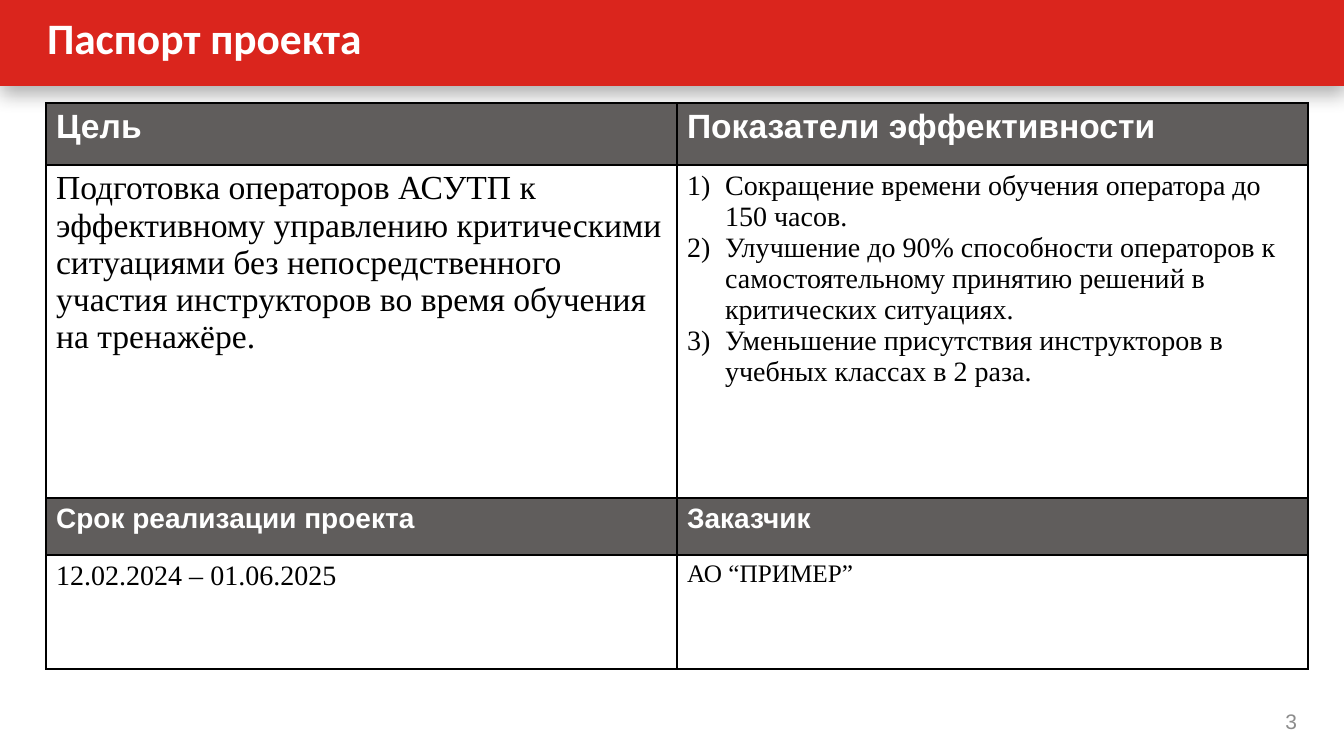
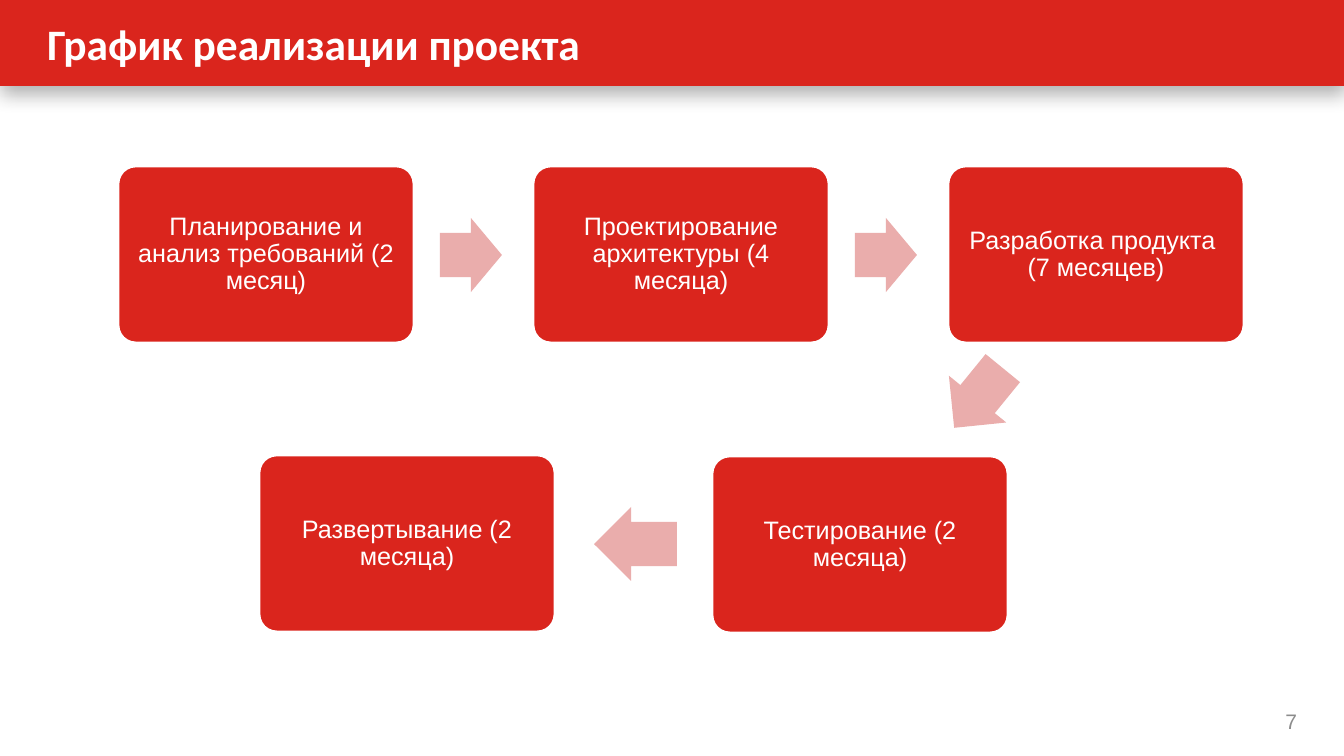
from lxml.etree import SubElement
from pptx import Presentation
from pptx.dml.color import RGBColor
from pptx.enum.shapes import MSO_SHAPE as Preset
from pptx.enum.text import MSO_ANCHOR as Anchor, MSO_AUTO_SIZE as AutoSize, PP_ALIGN as Align
from pptx.oxml.ns import qn
from pptx.util import Emu, Pt

WIDTH, HEIGHT = 1344, 756


def px(length):
    return Emu(round(length * 914400 / 100.8))


def rgb(code):
    return RGBColor.from_string(code)


def add_xml(parent, tag, **attributes):
    return SubElement(parent, qn(tag), {key: str(value) for key, value in attributes.items()})


class Deck:
    RED, PINK, GREY = "DA251D", "EAADAC", "605D5C"
    WHITE, BLACK, PAGE_GREY = "FFFFFF", "000000", "8C8C8C"
    SANS, SERIF, TITLE = "Arial", "Times New Roman", "Calibri"

    def __init__(self):
        self.prs = Presentation()
        self.prs.slide_width, self.prs.slide_height = px(WIDTH), px(HEIGHT)
        self.slide = None

    def style(self, paragraph, size, color, face=SANS, bold=False, align=Align.LEFT):
        paragraph.alignment = align
        font = paragraph.font
        font.size, font.name, font.bold = Pt(size), face, bold
        font.color.rgb = rgb(color)

    def frame(self, shape, text, side, top):
        frame = shape.text_frame
        frame.word_wrap, frame.auto_size = True, AutoSize.NONE
        frame.vertical_anchor = Anchor.MIDDLE
        frame.margin_left = frame.margin_right = px(side)
        frame.margin_top = frame.margin_bottom = px(top)
        frame.text = text
        return frame.paragraphs[0]

    def shape(self, preset, x, y, width, height, fill):
        shape = self.slide.shapes.add_shape(preset, px(x), px(y), px(width), px(height))
        shape.shadow.inherit = False
        shape.fill.solid()
        shape.fill.fore_color.rgb = rgb(fill)
        shape.line.fill.background()
        return shape

    def band(self):
        band = self.shape(Preset.RECTANGLE, 0, 0, WIDTH, 86, self.RED)
        effects = band.element.spPr.find(qn("a:effectLst"))
        shadow = add_xml(effects, "a:outerShdw", blurRad=Pt(14), dist=Pt(5), dir=5400000, rotWithShape=0)
        add_xml(add_xml(shadow, "a:srgbClr", val=self.BLACK), "a:alpha", val=31000)
        self.slide.shapes.element.insert(2, band.element)

    def new_slide(self, heading, number, title_height):
        self.slide = self.prs.slides.add_slide(self.prs.slide_layouts.get_by_name("Title Only"))
        self.band()
        title = self.slide.shapes.title
        title.left, title.top, title.width, title.height = px(34), px(0), px(1220), px(title_height)
        self.style(self.frame(title, heading, 13, 6), 31, self.WHITE, self.TITLE, True)
        page = self.slide.shapes.add_textbox(px(1226), px(701), px(84), px(40))
        self.style(self.frame(page, str(number), 13, 6), 15, self.PAGE_GREY, align=Align.RIGHT)

    def cell(self, cell, lines, size, header):
        cell.fill.solid()
        cell.fill.fore_color.rgb = rgb(self.GREY if header else self.WHITE)
        cell.text = "\n".join(lines)
        for paragraph in cell.text_frame.paragraphs:
            if len(lines) > 1:
                properties = paragraph._p.get_or_add_pPr()
                properties.set("marL", str(px(38)))
                properties.set("indent", str(px(-38)))
                add_xml(properties, "a:buFont", typeface="+mj-lt")
                add_xml(properties, "a:buAutoNum", type="arabicParenR")
            if header:
                self.style(paragraph, size, self.WHITE, self.SANS, True)
            else:
                self.style(paragraph, size, self.BLACK, self.SERIF)
        properties = cell._tc.get_or_add_tcPr()
        for place, side in enumerate(("a:lnL", "a:lnR", "a:lnT", "a:lnB")):
            border = add_xml(properties, side, w=Pt(1))
            add_xml(add_xml(border, "a:solidFill"), "a:srgbClr", val=self.BLACK)
            properties.insert(place, border)

    def table(self, x, y, column_width, row_heights, rows):
        columns = len(rows[0])
        table = self.slide.shapes.add_table(
            len(rows), columns, px(x), px(y), px(column_width * columns), px(sum(row_heights))).table
        table.first_row = table.horz_banding = False
        for column in table.columns:
            column.width = px(column_width)
        for index, (height, row) in enumerate(zip(row_heights, rows)):
            table.rows[index].height = px(height)
            for column, (lines, size) in enumerate(row):
                self.cell(table.cell(index, column), lines, size, index % 2 == 0)

    def stage(self, x, y, text):
        stage = self.shape(Preset.ROUNDED_RECTANGLE, x, y, 296, 177, self.RED)
        stage.adjustments[0] = 0.1
        stage.line.color.rgb = rgb(self.WHITE)
        stage.line.width = Pt(2)
        label = self.frame(stage, text, 7, 7)
        label.line_spacing = 0.9
        self.style(label, 18, self.WHITE, align=Align.CENTER)

    def arrow(self, x, y, width, rotation=0):
        arrow = self.shape(Preset.RIGHT_ARROW, x, y, width, 74, self.PINK)
        arrow.adjustments[0], arrow.adjustments[1] = 0.6, 0.5
        arrow.rotation = rotation


def passport(deck):
    deck.new_slide("Паспорт проекта", 3, 74)
    goal = ("Подготовка операторов АСУТП к эффективному управлению критическими ситуациями "
            "без непосредственного участия инструкторов во время обучения на тренажёре.")
    indicators = [
        "Сокращение времени обучения оператора до 150 часов.",
        "Улучшение до 90% способности операторов к самостоятельному принятию решений в критических ситуациях.",
        "Уменьшение присутствия инструкторов в учебных классах в 2 раза.",
    ]
    deck.table(46, 103, 631, [62, 333, 57, 114], [
        [(["Цель"], 24), (["Показатели эффективности"], 24)],
        [([goal], 24), (indicators, 20)],
        [(["Срок реализации проекта"], 20), (["Заказчик"], 20)],
        [(["12.02.2024 – 01.06.2025"], 20), (["АО “ПРИМЕР”"], 18)],
    ])


def schedule(deck):
    deck.new_slide("График реализации проекта", 7, 86)
    left, pitch = 118, 415
    upper_stages = [
        "Планирование и анализ требований (2 месяц)",
        "Проектирование архитектуры (4 месяца)",
        "Разработка продукта  (7 месяцев)",
    ]
    for index, text in enumerate(upper_stages):
        x = left + index * pitch
        deck.stage(x, 166, text)
        if index < len(upper_stages) - 1:
            deck.arrow(x + 322, 218, 62)
    deck.arrow(940, 361, 77, 129.2)
    deck.stage(712, 456, "Тестирование (2 месяца)")
    deck.arrow(594, 507, 83, 180)
    deck.stage(259, 455, "Развертывание (2 месяца)")


def main():
    deck = Deck()
    passport(deck)
    schedule(deck)
    deck.prs.save("out.pptx")


if __name__ == "__main__":
    main()
